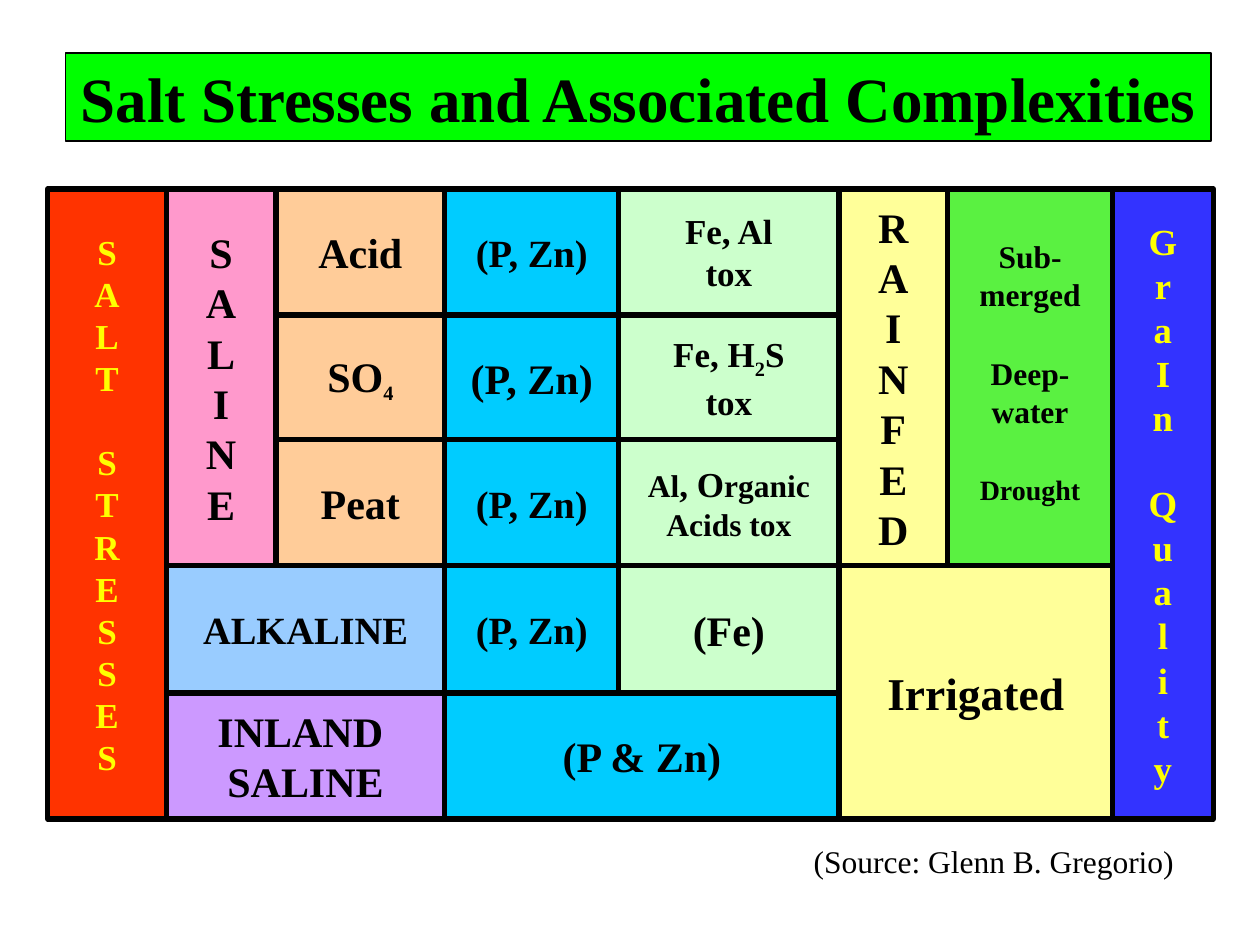
from pptx import Presentation
from pptx.dml.color import RGBColor
from pptx.enum import shapes, text
from pptx.util import Inches, Pt

COLORS = {
    "black": "000000", "yellow": "FFFF00", "green": "00FF00", "red": "FF3300",
    "pink": "FF99CC", "peach": "FFCC99", "pale_blue": "99CCFF", "violet": "CC99FF",
    "cyan": "00CCFF", "mint": "CCFFCC", "cream": "FFFF99", "leaf": "5AF141",
    "blue": "3333FF",
}
FRAME = {
    "word_wrap": False,
    "margin_left": Inches(0.1), "margin_right": Inches(0.1),
    "margin_top": Inches(0.05), "margin_bottom": Inches(0.05),
}
GAP = Pt(24)
SUBSCRIPT = "-25000"

# Edges of the grid, in inches
COLS = [0.38, 1.32, 2.19, 3.53, 4.91, 6.66, 7.52, 8.83, 9.63]
ROWS = [1.5, 2.5, 3.49, 4.49, 5.5, 6.5]

# (first column, end column, first row, end row, fill, size, lines)
# A line is a string or a list of (text, size, baseline); "" opens a gap.
CELLS = [
    (0, 1, 0, 5, "red", 20, [*"SALT", "", *"STRESSES"]),
    (1, 2, 0, 3, "pink", 24, [*"SALINE"]),
    (2, 3, 0, 1, "peach", 24, ["Acid"]),
    (2, 3, 1, 2, "peach", 24, [[("SO", 24, None), ("4", 20, SUBSCRIPT)]]),
    (2, 3, 2, 3, "peach", 24, ["Peat"]),
    (1, 3, 3, 4, "pale_blue", 22, ["ALKALINE"]),
    (1, 3, 4, 5, "violet", 24, ["INLAND ", "SALINE"]),
    (3, 4, 0, 1, "cyan", 22, ["(P, Zn)"]),
    (3, 4, 1, 2, "cyan", 24, ["(P, Zn)"]),
    (3, 4, 2, 3, "cyan", 22, ["(P, Zn)"]),
    (3, 4, 3, 4, "cyan", 22, ["(P, Zn)"]),
    (3, 5, 4, 5, "cyan", 24, ["(P & Zn)"]),
    (4, 5, 0, 1, "mint", 20, ["Fe, Al", "tox"]),
    (4, 5, 1, 2, "mint", 20,
     [[("Fe, H", 20, None), ("2", 20, SUBSCRIPT), ("S", 20, None)], "tox"]),
    (4, 5, 2, 3, "mint", 18,
     [[("Al", 18, None), (", O", 20, None), ("rganic", 18, None)], "Acids tox"]),
    (4, 5, 3, 4, "mint", 24, ["(Fe)"]),
    (5, 6, 0, 3, "cream", 24, [*"RAINFED"]),
    (6, 7, 0, 3, "leaf", 18,
     ["Sub-", "merged", "", "Deep-", "water", "", [("Drought", 16, None)]]),
    (5, 7, 3, 5, "cream", 26, ["Irrigated"]),
    (7, 8, 0, 5, "blue", 21, [*"GraIn", "", *"Quality"]),
]


def paint(sp, fill, width):
    sp.fill.solid()
    sp.fill.fore_color.rgb = RGBColor.from_string(COLORS[fill])
    sp.line.color.rgb = RGBColor.from_string(COLORS["black"])
    sp.line.width = Pt(width)
    sp.shadow.inherit = False


def write(sp, lines, size, color="black", bold=True, align=text.PP_ALIGN.CENTER,
          anchor=text.MSO_ANCHOR.MIDDLE):
    """Fill the shape's text frame, one paragraph per line."""
    tf = sp.text_frame
    for name, value in FRAME.items():
        setattr(tf, name, value)
    tf.vertical_anchor = anchor
    p, gap = None, 0
    for line in lines:
        if not line:
            gap = GAP
            continue
        p = tf.add_paragraph() if p is not None else tf.paragraphs[0]
        p.alignment = align
        p.space_before, gap = gap, 0
        runs = [(line, size, None)] if isinstance(line, str) else line
        for words, points, baseline in runs:
            r = p.add_run()
            r.text = words
            font = {"name": "Times New Roman", "size": Pt(points), "bold": bold}
            for name, value in font.items():
                setattr(r.font, name, value)
            r.font.color.rgb = RGBColor.from_string(COLORS[color])
            if baseline:
                r.font._element.set("baseline", baseline)


prs = Presentation()
prs.slide_width, prs.slide_height = Inches(10), Inches(7.5)
s = prs.slides.add_slide(prs.slide_layouts[5])

title = s.shapes.title
title.left, title.top = Inches(0.52), Inches(0.42)
title.width, title.height = Inches(9.09), Inches(0.7)
paint(title, "green", 1)
write(title, ["Salt Stresses and Associated Complexities"], 36)
title.text_frame.auto_size = text.MSO_AUTO_SIZE.NONE

for c1, c2, r1, r2, fill, size, lines in CELLS:
    left, top = COLS[c1], ROWS[r1]
    sp = s.shapes.add_shape(
        shapes.MSO_SHAPE.RECTANGLE, Inches(left), Inches(top),
        Inches(COLS[c2] - left), Inches(ROWS[r2] - top))
    paint(sp, fill, 3)
    write(sp, lines, size, "yellow" if fill in ("red", "blue") else "black")
    if fill == "leaf":
        sp.text_frame.vertical_anchor = text.MSO_ANCHOR.TOP
        sp.text_frame.margin_top = Inches(0.38)

source = s.shapes.add_textbox(Inches(6.36), Inches(6.63), Inches(3.06), Inches(0.4))
write(source, ["(Source: Glenn B. Gregorio)"], 18, bold=False,
      align=text.PP_ALIGN.LEFT, anchor=text.MSO_ANCHOR.TOP)

prs.save("out.pptx")
